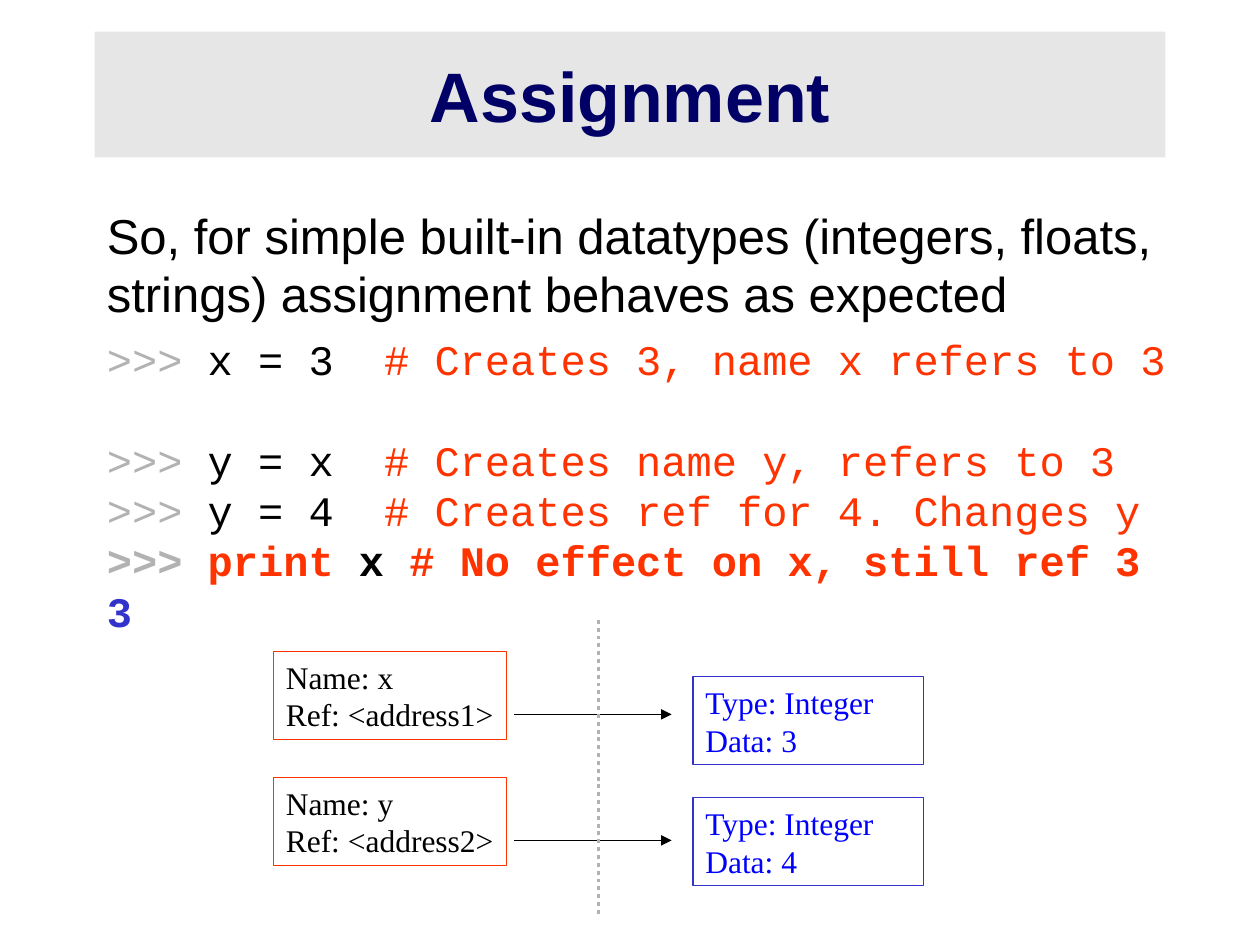
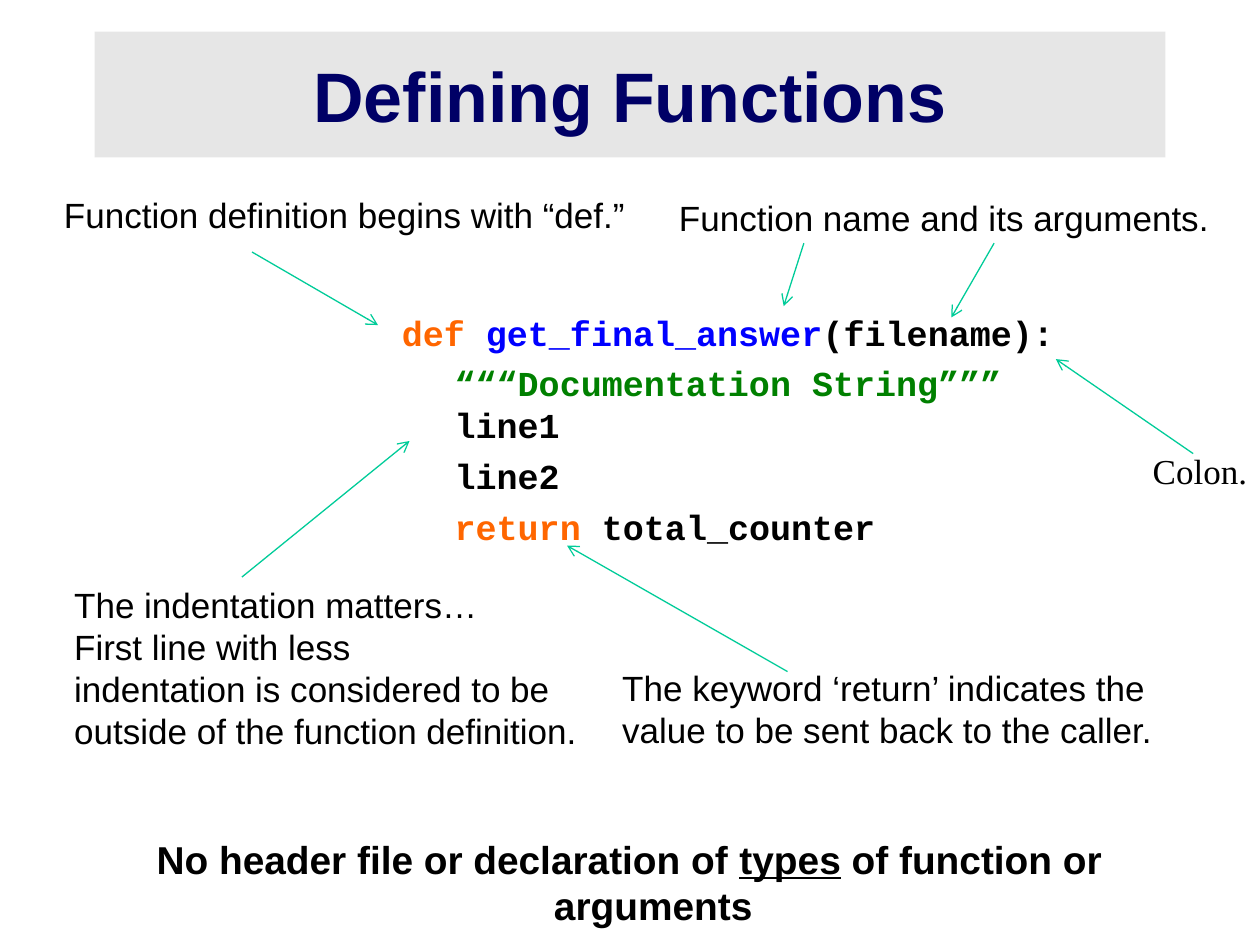
import pptx
import pptx.util
import pptx.dml.color
import pptx.enum.dml
import pptx.enum.shapes
import pptx.enum.text
import pptx.oxml.ns
from lxml import etree

Inches = pptx.util.Inches
Pt = pptx.util.Pt
ALIGN = pptx.enum.text.PP_ALIGN
ANCHOR = pptx.enum.text.MSO_ANCHOR

COLORS = {
    "band": "E6E6E6", "title": "000066", "black": "000000", "gray": "B2B2B2",
    "red": "FF3300", "indigo": "3333CC", "blue": "0000FF", "orange": "FF6600",
    "green": "008000", "teal": "00CC99",
}
SANS, MONO, SERIF = "Arial", "Courier New", "Times New Roman"


def rgb(name):
    return pptx.dml.color.RGBColor.from_string(COLORS[name])


class Deck:
    def __init__(self):
        self.prs = pptx.Presentation()
        self.prs.slide_width, self.prs.slide_height = Inches(10), Inches(7.5)
        self.s = None

    def slide(self, title):
        self.s = self.prs.slides.add_slide(self.prs.slide_layouts[5])
        sp = self.s.shapes.title
        sp.left, sp.top, sp.width, sp.height = map(Inches, (0.75, 0.25, 8.5, 1))
        sp.fill.solid()
        sp.fill.fore_color.rgb = rgb("band")
        self.frame(sp, 0.1, ANCHOR.MIDDLE)
        self.paragraph(sp.text_frame, [(title, "title")], 40, bold=True, align=ALIGN.CENTER)

    def frame(self, sp, right=0, anchor=ANCHOR.TOP):
        tf = sp.text_frame
        tf.word_wrap = True
        tf.auto_size = pptx.enum.text.MSO_AUTO_SIZE.NONE
        tf.vertical_anchor = anchor
        tf.margin_left, tf.margin_right = Inches(0.1), Inches(right)
        tf.margin_top = tf.margin_bottom = Inches(0.05)
        return tf

    def paragraph(self, tf, runs, size, font=SANS, bold=False, before=0,
                  left=0, indent=0, align=ALIGN.LEFT):
        p = tf.paragraphs[0]
        if p.runs:
            p = tf.add_paragraph()
        pPr = p._p.get_or_add_pPr()
        pPr.set("marL", str(Inches(left)))
        pPr.set("indent", str(Inches(indent)))
        p.alignment = align
        p.space_before = Pt(before)
        p.line_spacing = Pt(size * 1.2)
        for text, color, *underline in runs:
            r = p.add_run()
            r.text = text
            r.font.name, r.font.size = font, Pt(size)
            r.font.bold = bold
            r.font.underline = bool(underline)
            r.font.color.rgb = rgb(color)

    def text_box(self, left, top, width, height, right=0):
        sp = self.s.shapes.add_textbox(*map(Inches, (left, top, width, height)))
        return self.frame(sp, right)

    def note(self, left, top, width, lines, font=SANS):
        tf = self.text_box(left, top, width, 0.1 + len(lines) / 3)
        for line in lines:
            self.paragraph(tf, [(line, "black")], 20, font)

    def record(self, left, top, width, lines, border, color):
        sp = self.s.shapes.add_shape(pptx.enum.shapes.MSO_SHAPE.RECTANGLE,
                                     *map(Inches, (left, top, width, 0.7)))
        sp.shadow.inherit = False
        sp.fill.background()
        sp.line.color.rgb = rgb(border)
        sp.line.width = Pt(0.75)
        tf = self.frame(sp)
        for line in lines:
            self.paragraph(tf, [(line, color)], 18, SERIF)

    def line(self, start, end, color, width=0.75, head=None, dash=None):
        c = self.s.shapes.add_connector(pptx.enum.shapes.MSO_CONNECTOR.STRAIGHT,
                                        *map(Inches, start + end))
        c.line.color.rgb = rgb(color)
        c.line.width = Pt(width)
        if dash:
            c.line.dash_style = dash
        if head:
            etree.SubElement(c.line._get_or_add_ln(), pptx.oxml.ns.qn("a:tailEnd"), type=head)
        etree.SubElement(c._element.spPr, pptx.oxml.ns.qn("a:effectLst"))


def assignment(deck):
    deck.slide("Assignment")
    tf = deck.text_box(0.75, 1.58, 8.75, 4.83)
    deck.paragraph(tf, [("So, for simple built-in datatypes (integers, floats, strings) "
                         "assignment behaves as expected", "black")], 28)
    statements = [
        ("x = 3", "  # Creates 3, name x refers to 3", 6),
        ("y = x", "  # Creates name y, refers to 3", 28.8),
        ("y = 4", "  # Creates ref for 4. Changes y", 0),
    ]
    for code, comment, before in statements:
        deck.paragraph(tf, [(">>> ", "gray"), (code, "black"), (comment, "red")],
                       24, MONO, before=before)
    deck.paragraph(tf, [(">>>", "gray"), (" print ", "red"), ("x", "black"),
                        (" # No effect on x, still ref 3", "red")], 24, MONO, bold=True)
    deck.paragraph(tf, [("3", "indigo")], 24, MONO, bold=True)

    references = [("x", "<address1>", 3, 5.17, 5.37), ("y", "<address2>", 4, 6.17, 6.33)]
    for name, address, value, name_top, data_top in references:
        deck.record(2.17, name_top, 1.85, [f"Name: {name}", f"Ref: {address}"], "red", "black")
        deck.record(5.5, data_top, 1.83, ["Type: Integer", f"Data: {value}"], "indigo", "blue")
        arrow_y = name_top + 0.5
        deck.line((4.08, arrow_y), (5.33, arrow_y), "black", head="triangle")
    deck.line((4.75, 4.92), (4.75, 7.25), "gray", 2.25,
              dash=pptx.enum.dml.MSO_LINE.ROUND_DOT)


def defining_functions(deck):
    deck.slide("Defining Functions")
    tf = deck.text_box(0.33, 6.58, 9.33, 0.83, right=0.1)
    deck.paragraph(tf, [("No header file or declaration of ", "black"),
                        ("types", "black", True),
                        (" of function or arguments", "black")],
                   22.2, bold=True, left=0.38, indent=-0.38, align=ALIGN.CENTER)

    tf = deck.text_box(2.09, 2.42, 7.08, 1.5)
    code = [
        ([("def ", "orange"), ("get_final_answer", "blue"), ("(filename):", "black")], 1, 0),
        ([("“““Documentation String”””", "green")], 1.42, 5),
        ([("line1", "black")], 1.42, 0),
        ([("line2", "black")], 1.42, 5),
        ([("return", "orange"), (" total_counter", "black")], 1.42, 5),
    ]
    for runs, left, before in code:
        deck.paragraph(tf, runs, 20, MONO, bold=True, left=left, before=before)

    deck.note(0.49, 4.58, 4.19, ["The indentation matters…", "First line with less",
                                 "indentation is considered to be",
                                 "outside of the function definition."])
    deck.note(0.41, 1.49, 4.66, ["Function definition begins with “def.”"])
    deck.note(5.29, 1.51, 4.41, ["Function name and its arguments."])
    deck.note(4.84, 5.24, 4.44, ["The keyword ‘return’ indicates the",
                                 "value to be sent back to the caller."])
    deck.note(9.05, 3.52, 0.95, ["Colon."], SERIF)

    pointers = [
        ((1.92, 4.58), (3.25, 3.5)),
        ((2, 2), (3, 2.58)),
        ((6.38, 1.93), (6.22, 2.43)),
        ((7.89, 1.93), (7.55, 2.52)),
        ((6.25, 5.33), (4.5, 4.33)),
        ((9.47, 3.6), (8.38, 2.85)),
    ]
    for start, end in pointers:
        deck.line(start, end, "teal", head="arrow")


def main():
    deck = Deck()
    assignment(deck)
    defining_functions(deck)
    deck.prs.save("out.pptx")


if __name__ == "__main__":
    main()
